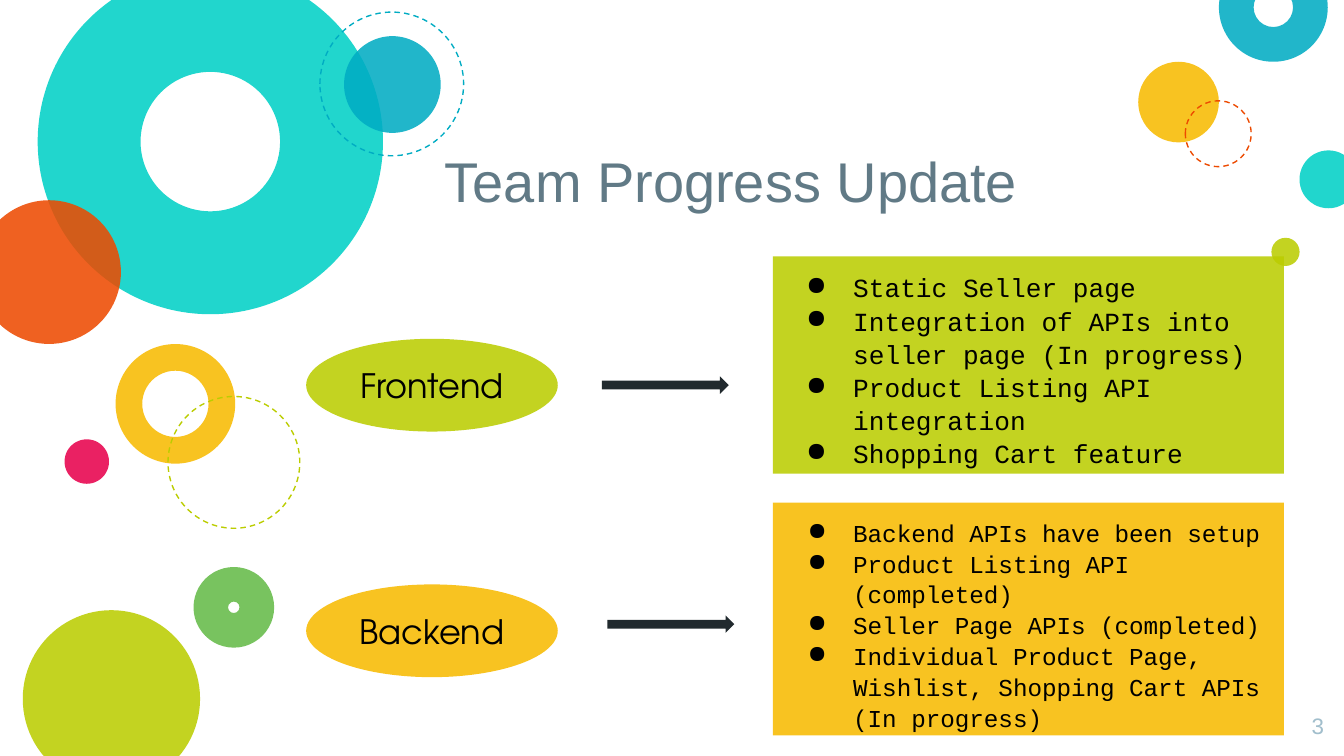
from pptx import Presentation
from pptx.dml.color import RGBColor
from pptx.enum.dml import MSO_LINE
from pptx.enum.shapes import MSO_SHAPE
from pptx.enum.text import MSO_ANCHOR, MSO_AUTO_SIZE, PP_ALIGN
from pptx.oxml.ns import qn
from pptx.util import Pt
from lxml.etree import SubElement

COLORS = {
    "lime": "BBCD00", "aqua": "00D1C6", "orange": "ED4A00", "blue": "00ACC3",
    "amber": "F8BB00", "green": "65BB48", "pink": "E8004C", "slate": "617A86",
    "mist": "A1BECC", "ink": "212A2E", "black": "000000",
}
INSET = 7.2

# left, top, diameter, colour, hole ratio (0 is a full disc)
DISCS = [
    (20.2, -16.6, 185, "aqua", 0.298), (-12.2, 107.3, 77, "orange", 0),
    (184.3, 19.4, 51.8, "blue", 0), (61.9, 184.3, 64.1, "amber", 0.223),
    (12.2, 326.9, 95, "lime", 0), (103.7, 303.8, 43.2, "green", 0.429),
    (34.6, 235.4, 23.8, "pink", 0), (609.8, 33.1, 43.2, "amber", 0),
    (696.2, 80.6, 31, "aqua", 0), (653, -25.2, 58.3, "blue", 0.319),
    (681.1, 127.4, 15.1, "lime", 0),
]
# left, top, diameter, colour
DASHED_RINGS = [
    (90, 212.4, 70.6, "lime"), (171.4, 6.5, 77, "blue"), (635, 54, 35.3, "orange"),
]
# name, colour, oval box, arrow box, list box, text size, hanging indent, items
TEAMS = [
    ("Frontend", "lime", (164, 181.5, 134.8, 49.7), (322.4, 201.6, 68, 9.4),
     (414, 137.4, 273.8, 116.4), 14, 25.2,
     ["Static Seller page", "Integration of APIs into seller page (In progress)",
      "Product Listing API integration", "Shopping Cart feature"]),
    ("Backend", "amber", (164, 313.1, 134.8, 49.7), (325.4, 329.7, 68, 9.4),
     (414, 269.3, 273.8, 124.7), 13, 24.5,
     ["Backend APIs have been setup", "Product Listing API (completed)",
      "Seller Page APIs (completed)",
      "Individual Product Page, Wishlist, Shopping Cart APIs (In progress)"]),
]


def rgb(name):
    return RGBColor.from_string(COLORS[name])


def add_filled(page, kind, box, color, alpha=87):
    shape = page.shapes.add_shape(kind, *map(Pt, box))
    shape.shadow.inherit = False
    shape.line.fill.background()
    shape.fill.solid()
    shape.fill.fore_color.rgb = rgb(color)
    if alpha < 100:
        tint = shape.fill._xPr.find(qn("a:solidFill"))[0]
        SubElement(tint, qn("a:alpha"), val=str(alpha * 1000))
    return shape


def set_frame(frame, anchor=MSO_ANCHOR.TOP):
    frame.word_wrap = True
    frame.auto_size = MSO_AUTO_SIZE.NONE
    frame.vertical_anchor = anchor
    frame.margin_left = frame.margin_right = Pt(INSET)
    frame.margin_top = frame.margin_bottom = Pt(INSET)


def style_para(para, size, font, color, align=PP_ALIGN.LEFT):
    para.alignment = align
    for span in para.runs:
        span.font.size = Pt(size)
        span.font.name = font
        span.font.color.rgb = rgb(color)


def add_bullet(para, indent):
    props = para._p.get_or_add_pPr()
    props.set("marL", str(Pt(36)))
    props.set("indent", str(-Pt(indent)))
    bullet_color = SubElement(props, qn("a:buClr"))
    SubElement(bullet_color, qn("a:srgbClr"), val=COLORS["black"])
    SubElement(props, qn("a:buChar"), char="●")


def add_decoration(page):
    for left, top, size, color, hole in DISCS:
        kind = MSO_SHAPE.DONUT if hole else MSO_SHAPE.OVAL
        disc = add_filled(page, kind, (left, top, size, size), color)
        if hole:
            disc.adjustments[0] = hole
    for left, top, size, color in DASHED_RINGS:
        ring = page.shapes.add_shape(MSO_SHAPE.OVAL, *map(Pt, (left, top, size, size)))
        ring.shadow.inherit = False
        ring.fill.background()
        ring.line.color.rgb = rgb(color)
        ring.line.width = Pt(0.75)
        ring.line.dash_style = MSO_LINE.DASH


def add_title(page, box):
    title = page.shapes.title
    title.left, title.top, title.width, title.height = map(Pt, box)
    title.text_frame.text = "Team Progress Update"
    set_frame(title.text_frame, MSO_ANCHOR.BOTTOM)
    style_para(title.text_frame.paragraphs[0], 30, "Arial", "slate")


def add_page_number(page, box):
    frame = page.shapes.add_textbox(*map(Pt, box)).text_frame
    frame.text = "3"
    set_frame(frame)
    style_para(frame.paragraphs[0], 12, "Arial", "mist", PP_ALIGN.RIGHT)


def add_team(page, name, color, oval_box, arrow_box, list_box, size, indent, items):
    oval = add_filled(page, MSO_SHAPE.OVAL, oval_box, color)
    oval.text_frame.text = name
    set_frame(oval.text_frame, MSO_ANCHOR.MIDDLE)
    style_para(oval.text_frame.paragraphs[0], 18, "TeX Gyre Adventor", "black",
               PP_ALIGN.CENTER)

    add_filled(page, MSO_SHAPE.RIGHT_ARROW, arrow_box, "ink", alpha=100)

    frame = add_filled(page, MSO_SHAPE.RECTANGLE, list_box, color).text_frame
    frame.text = "\n".join(items)
    set_frame(frame)
    for para in frame.paragraphs:
        para.line_spacing = 1.06
        style_para(para, size, "Courier New", "black")
        add_bullet(para, indent)


def main():
    deck = Presentation()
    deck.slide_width, deck.slide_height = Pt(720), Pt(405)
    page = deck.slides.add_slide(deck.slide_layouts[5])
    add_decoration(page)
    add_title(page, (231.1, 71.3, 415.4, 50.4))
    add_page_number(page, (679.7, 374.4, 36.7, 31))
    for team in TEAMS:
        add_team(page, *team)
    deck.save("out.pptx")


if __name__ == "__main__":
    main()
